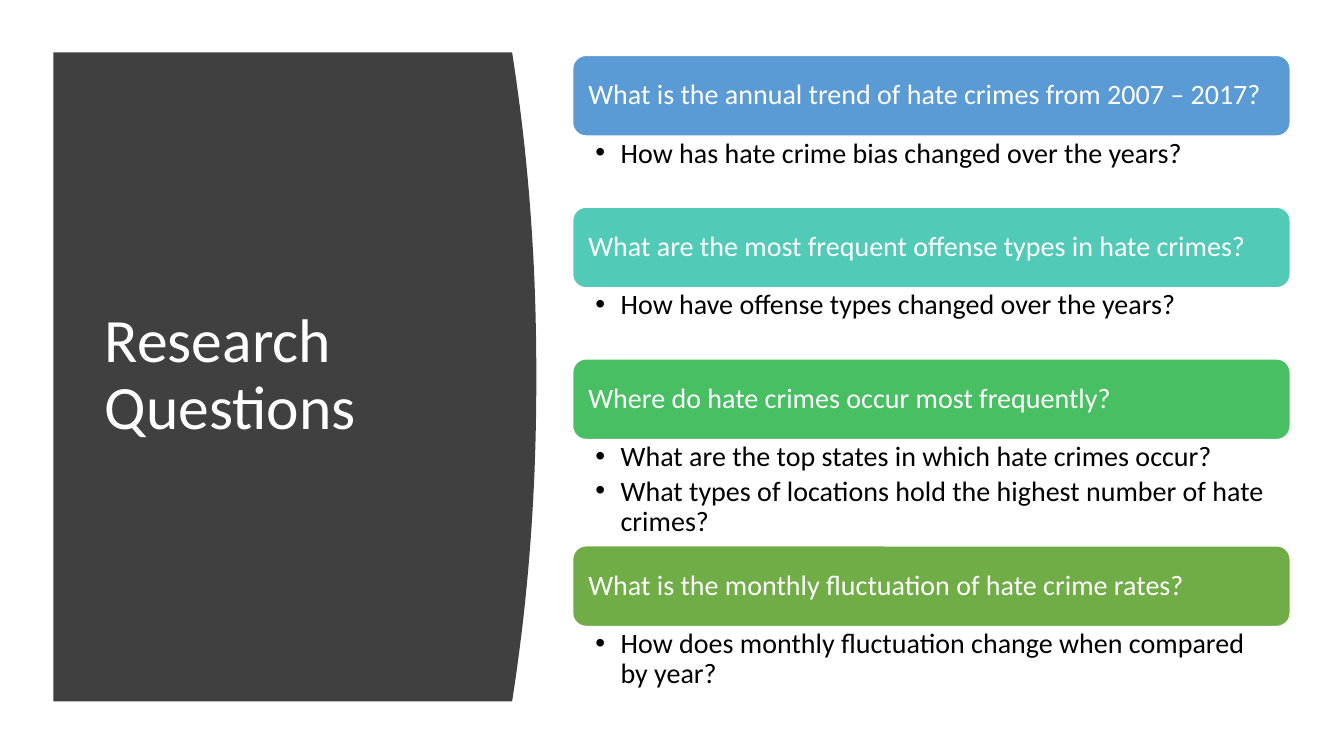
"""Build the research questions slide with a curved title panel and four question blocks."""
from lxml import etree
from pptx import Presentation
from pptx.dml.color import RGBColor
from pptx.enum.shapes import MSO_SHAPE
from pptx.enum.text import MSO_ANCHOR, MSO_AUTO_SIZE, PP_ALIGN
from pptx.oxml.ns import qn
from pptx.util import Pt

ROUNDED = MSO_SHAPE.ROUNDED_RECTANGLE
MIDDLE, TOP = MSO_ANCHOR.MIDDLE, MSO_ANCHOR.TOP
LEFT = PP_ALIGN.LEFT
NO_FIT = MSO_AUTO_SIZE.NONE

TITLE = "Research Questions"
QUESTIONS = [
    ("What is the annual trend of hate crimes from 2007 – 2017?", "5B9BD5", 50.8,
     ["How has hate crime bias changed over the years?"]),
    ("What are the most frequent offense types in hate crimes?", "52CAB8", 50.8,
     ["How have offense types changed over the years?"]),
    ("Where do hate crimes occur most frequently?", "49BF64", 75.9,
     ["What are the top states in which hate crimes occur?",
      "What types of locations hold the highest number of hate crimes?"]),
    ("What is the monthly fluctuation of hate crime rates?", "70AD47", 50.8,
     ["How does monthly fluctuation change when compared by year?"]),
]

FONT = "Calibri"
WHITE, BLACK, PANEL_GREY = "FFFFFF", "000000", "404040"
PAGE_SIZE = (960, 540)
PANEL_LEFT, PANEL_TOP, PANEL_BOTTOM = 38.2, 37.4, 501.1
PANEL_EDGE, PANEL_BULGE, CURVE_POWER, CURVE_STEPS = 365.8, 17.3, 2.1, 48
TITLE_AREA = (67.7, 80, 269.3, 377.3)
LIST_LEFT, LIST_TOP, LIST_WIDTH, HEADER_HEIGHT = 409, 39.6, 512.6, 57.6
BULLET_INDENT = 18

TITLE_FRAME = {"vertical_anchor": MIDDLE, "word_wrap": True, "auto_size": NO_FIT}
HEADER_FRAME = {"vertical_anchor": MIDDLE, "word_wrap": True,
                "margin_left": Pt(8.4), "margin_right": Pt(8.4),
                "margin_top": Pt(5.8), "margin_bottom": Pt(5.8)}
DETAIL_FRAME = {"vertical_anchor": TOP, "word_wrap": True,
                "margin_left": Pt(16.3), "margin_right": Pt(11.4),
                "margin_top": Pt(2), "margin_bottom": Pt(2)}


def color(value):
    return RGBColor.from_string(value)


def set_all(target, values):
    for name, value in values.items():
        setattr(target, name, value)


def paint(shape, fill, line=None):
    shape.shadow.inherit = False
    shape.fill.solid()
    shape.fill.fore_color.rgb = color(fill)
    if line:
        shape.line.color.rgb = color(line)
        shape.line.width = Pt(1)
    else:
        shape.line.fill.background()


def add_bullet(para):
    properties = para._p.get_or_add_pPr()
    properties.set("marL", str(Pt(BULLET_INDENT)))
    properties.set("indent", str(-Pt(BULLET_INDENT)))
    etree.SubElement(properties, qn("a:buFont")).set("typeface", "Arial")
    etree.SubElement(properties, qn("a:buChar")).set("char", "•")


def write(box, lines, frame_format, size, text_color, bulleted=False):
    frame = box.text_frame
    set_all(frame, frame_format)
    for index, line in enumerate(lines):
        para = frame.paragraphs[0] if index == 0 else frame.add_paragraph()
        set_all(para, {"alignment": LEFT, "line_spacing": 0.9,
                       "space_before": Pt(0), "space_after": Pt(3 if bulleted else 0)})
        if bulleted:
            add_bullet(para)
        span = para.add_run()
        span.text = line
        set_all(span.font, {"name": FONT, "size": Pt(size)})
        span.font.color.rgb = color(text_color)


def add_panel(page):
    middle = (PANEL_TOP + PANEL_BOTTOM) / 2
    half = (PANEL_BOTTOM - PANEL_TOP) / 2
    outline = []
    for step in range(CURVE_STEPS + 1):
        offset = 2 * step / CURVE_STEPS - 1
        bulge = PANEL_BULGE * (1 - abs(offset) ** CURVE_POWER)
        outline.append((Pt(PANEL_EDGE + bulge), Pt(middle + half * offset)))
    outline.append((Pt(PANEL_LEFT), Pt(PANEL_BOTTOM)))
    builder = page.shapes.build_freeform(Pt(PANEL_LEFT), Pt(PANEL_TOP))
    builder.add_line_segments(outline, close=True)
    paint(builder.convert_to_shape(), PANEL_GREY)


def add_title(page):
    title = page.shapes.title
    set_all(title, dict(zip(("left", "top", "width", "height"), map(Pt, TITLE_AREA))))
    write(title, [TITLE], TITLE_FRAME, 44, WHITE)
    page.shapes._spTree.append(title._element)


def add_questions(page):
    top = LIST_TOP
    for question, fill, detail_height, details in QUESTIONS:
        header = page.shapes.add_shape(
            ROUNDED, Pt(LIST_LEFT), Pt(top), Pt(LIST_WIDTH), Pt(HEADER_HEIGHT))
        paint(header, fill, WHITE)
        write(header, [question], HEADER_FRAME, 20, WHITE)
        top += HEADER_HEIGHT
        detail_box = page.shapes.add_textbox(
            Pt(LIST_LEFT), Pt(top), Pt(LIST_WIDTH), Pt(detail_height))
        write(detail_box, details, DETAIL_FRAME, 20, BLACK, bulleted=True)
        top += detail_height


def main():
    deck = Presentation()
    deck.slide_width, deck.slide_height = map(Pt, PAGE_SIZE)
    page = deck.slides.add_slide(deck.slide_layouts.get_by_name("Title Only"))
    add_panel(page)
    add_title(page)
    add_questions(page)
    deck.save("out.pptx")


if __name__ == "__main__":
    main()
